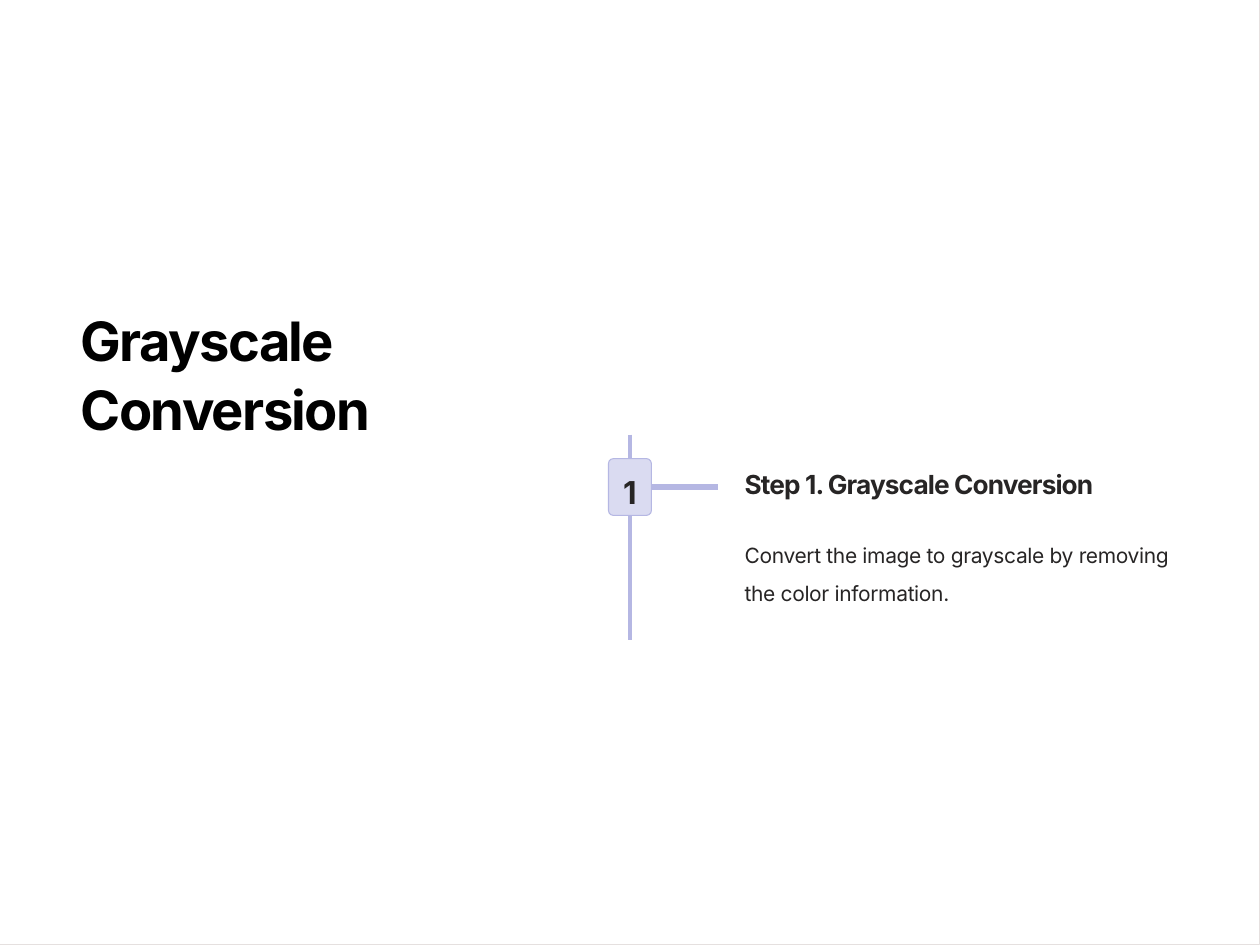
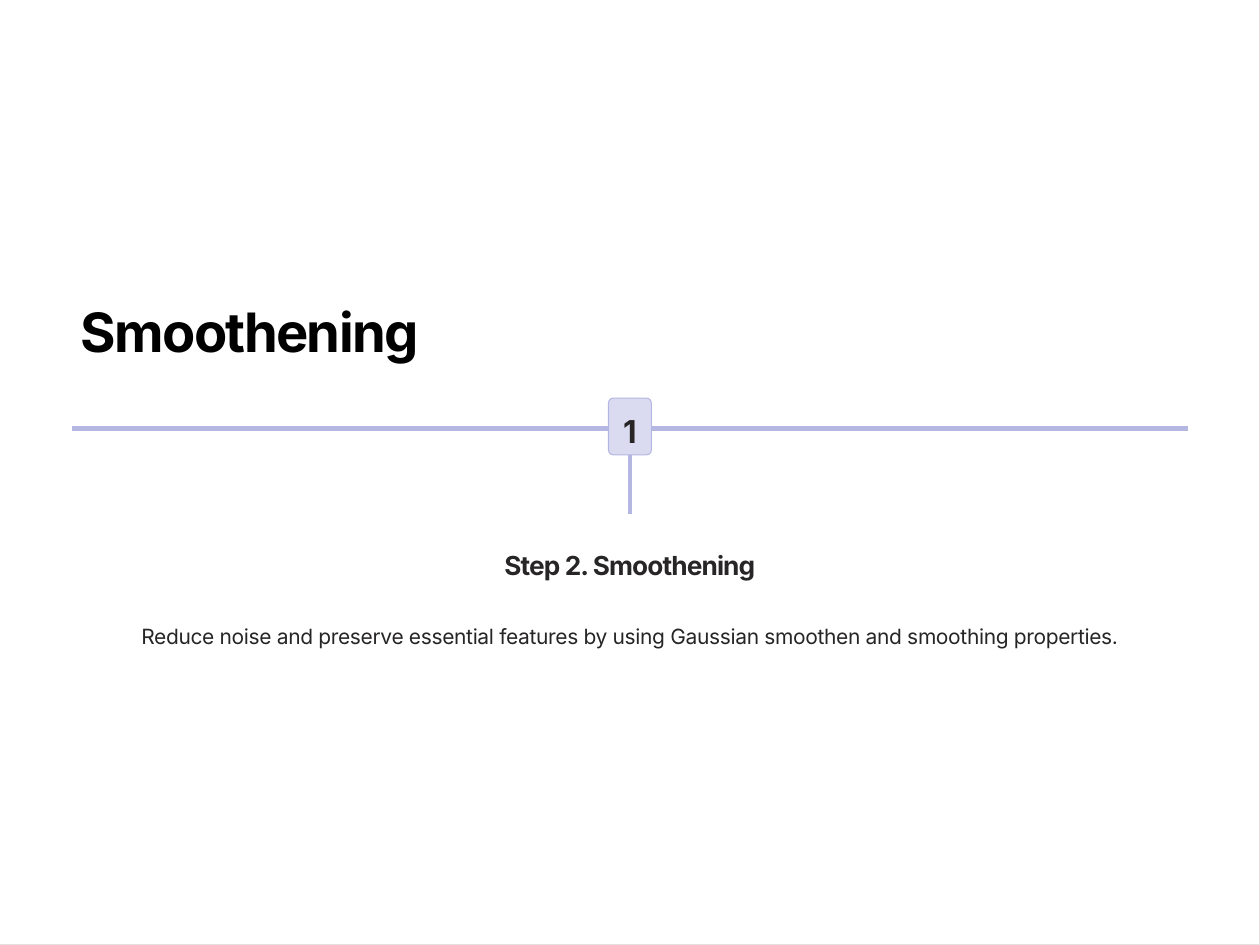
from pptx import Presentation
from pptx.dml.color import RGBColor
from pptx.enum.shapes import MSO_CONNECTOR as Connector, MSO_SHAPE as Shape
from pptx.enum.text import MSO_ANCHOR as Anchor, MSO_AUTO_SIZE as AutoSize, PP_ALIGN as Align
from pptx.oxml.ns import qn
from pptx.oxml.xmlchemy import OxmlElement
from pptx.util import Inches, Pt

FONT = "Inter"
BLACK = "000000"
INK = "272525"
LAVENDER = "B5B7E3"
PALE_LAVENDER = "DADBF1"
FRAME_GREY = "E5E0DF"

PAGE_WIDTH, PAGE_HEIGHT = 10, 7.5
MARGIN = 0.57
CENTER = PAGE_WIDTH / 2
BADGE_WIDTH, BADGE_HEIGHT = 0.34, 0.45
BOTTOM, RIGHT = 2, 3
VERTICAL_WEIGHT, HORIZONTAL_WEIGHT = 2.2, 2.9


def color(value):
    return RGBColor.from_string(value)


def write(box, text, size, leading, tracking, ink=INK, bold=False,
          align=Align.LEFT, wrap=False, insets=(0.07, 0.04)):
    frame = box.text_frame
    frame.auto_size = AutoSize.NONE
    frame.word_wrap = wrap
    frame.vertical_anchor = Anchor.TOP
    frame.margin_left = frame.margin_right = Inches(insets[0])
    frame.margin_top = frame.margin_bottom = Inches(insets[1])
    frame.text = text
    para = frame.paragraphs[0]
    para.alignment = align
    para.line_spacing = Pt(leading)
    para.font.name = FONT
    para.font.size = Pt(size)
    para.font.bold = bold
    para.font.color.rgb = color(ink)
    para._p.pPr.find(qn("a:defRPr")).set("spc", str(round(tracking * 100)))


def add_page(deck, title, top, width):
    page = deck.slides.add_slide(deck.slide_layouts[5])
    border = page.shapes.add_shape(Shape.RECTANGLE, 0, 0, deck.slide_width, deck.slide_height)
    border.shadow.inherit = False
    border.fill.background()
    border.line.color.rgb = color(FRAME_GREY)
    border.line.width = Pt(0.6)
    heading = page.shapes.title
    heading.left, heading.top = Inches(MARGIN), Inches(top)
    heading.width, heading.height = Inches(width), Inches(0.65)
    write(heading, title, 31, 39.8, -0.9, BLACK, bold=True)
    return page


def add_line(page, start, end, weight, badge=None, side=None):
    line = page.shapes.add_connector(Connector.STRAIGHT, *map(Inches, start + end))
    line.line.color.rgb = color(LAVENDER)
    line.line.width = Pt(weight)
    line._element.spPr.append(OxmlElement("a:effectLst"))
    if badge is not None:
        line.begin_connect(badge, side)


def add_badge(page, number, top):
    badge = page.shapes.add_shape(
        Shape.ROUNDED_RECTANGLE, Inches(CENTER - BADGE_WIDTH / 2), Inches(top),
        Inches(BADGE_WIDTH), Inches(BADGE_HEIGHT))
    badge.adjustments[0] = 0.11
    badge.shadow.inherit = False
    badge.fill.solid()
    badge.fill.fore_color.rgb = color(PALE_LAVENDER)
    badge.line.color.rgb = color(LAVENDER)
    badge.line.width = Pt(0.6)
    write(badge, number, 18, 23.9, -0.2, bold=True, align=Align.CENTER, insets=(0, 0.07))
    return badge


def add_text(page, left, top, width, height, text, *style, **options):
    box = page.shapes.add_textbox(Inches(left), Inches(top), Inches(width), Inches(height))
    write(box, text, *style, **options)


def add_step_name(page, left, top, width, text, align=Align.LEFT):
    add_text(page, left, top, width, 0.33, text, 15, 19.9, -0.5, bold=True, align=align)


def add_description(page, left, top, width, height, text, **options):
    add_text(page, left, top, width, height, text, 12, 22, -0.2, **options)


def build_grayscale(deck):
    page = add_page(deck, "Grayscale Conversion", 2.36, 3.88)
    badge_top = 3.64
    branch = badge_top + BADGE_HEIGHT / 2
    add_line(page, (CENTER, 3.45), (CENTER, 5.08), VERTICAL_WEIGHT)
    badge = add_badge(page, "1", badge_top)
    add_line(page, (CENTER + BADGE_WIDTH / 2, branch), (5.7, branch),
             HORIZONTAL_WEIGHT, badge, RIGHT)
    add_step_name(page, 5.84, 3.65, 2.51, "Step 1. Grayscale Conversion")
    add_description(page, 5.84, 4.16, 3.6, 0.72,
                    "Convert the image to grayscale by removing the color information.", wrap=True)


def build_smoothening(deck):
    page = add_page(deck, "Smoothening", 2.29, 3.04)
    badge_top = 3.16
    add_line(page, (MARGIN, 3.4), (PAGE_WIDTH - MARGIN, 3.4), HORIZONTAL_WEIGHT)
    badge = add_badge(page, "1", badge_top)
    add_line(page, (CENTER, badge_top + BADGE_HEIGHT), (CENTER, 4.08),
             VERTICAL_WEIGHT, badge, BOTTOM)
    add_step_name(page, 4.1, 4.29, 1.8, "Step 2. Smoothening", Align.CENTER)
    add_description(page, 0.72, 4.8, 8.56, 0.36,
                    "Reduce noise and preserve essential features by using "
                    "Gaussian smoothen and smoothing properties.", align=Align.CENTER)


def main():
    deck = Presentation()
    deck.slide_width, deck.slide_height = Inches(PAGE_WIDTH), Inches(PAGE_HEIGHT)
    build_grayscale(deck)
    build_smoothening(deck)
    deck.save("out.pptx")


if __name__ == "__main__":
    main()
